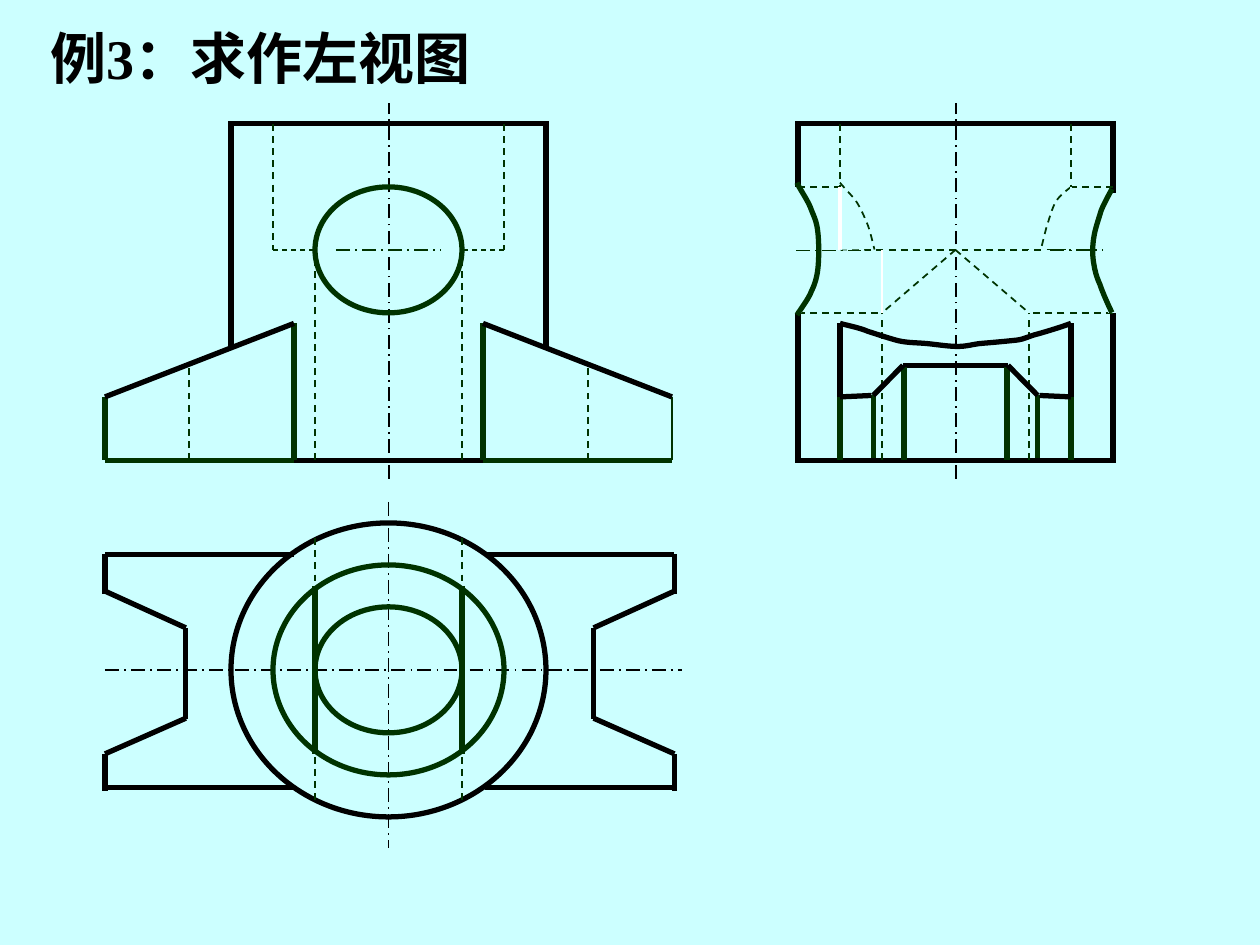
from dataclasses import dataclass
from typing import Optional

from lxml.etree import SubElement
from pptx import Presentation
from pptx.dml.color import RGBColor
from pptx.enum.dml import MSO_LINE
from pptx.enum.shapes import MSO_CONNECTOR, MSO_SHAPE
from pptx.enum.text import MSO_ANCHOR, MSO_AUTO_SIZE, PP_ALIGN
from pptx.oxml.ns import qn
from pptx.util import Pt

BLACK, GREEN, PAPER, WHITE = "000000", "003300", "CCFFFF", "FFFFFF"


@dataclass(frozen=True)
class Stroke:
    color: str
    width: float
    dash: Optional[MSO_LINE] = None


OUTLINE = Stroke(BLACK, 3)
EDGE = Stroke(GREEN, 3)
THIN_EDGE = Stroke(GREEN, 1.5)
HIDDEN = Stroke(GREEN, 1, MSO_LINE.DASH)
FINE_HIDDEN = Stroke(GREEN, 0.75, MSO_LINE.DASH)
AXIS = Stroke(BLACK, 1, MSO_LINE.LONG_DASH_DOT)
BORE_AXIS = Stroke(GREEN, 1, MSO_LINE.LONG_DASH_DOT)
ERASER = Stroke(PAPER, 4.5)
MID_ERASER = Stroke(PAPER, 1.5)
FINE_ERASER = Stroke(PAPER, 0.75)

# Shared levels: body top, bore top / axis / bottom, rib top, rib tip, base
TOP, BORE_TOP, BORE, BORE_END = 70.8, 106.8, 142.8, 178.8
RIB_TOP, RIB_TIP, BASE = 184.8, 226.8, 263
FRONT_X, SIDE_X, PLAN_Y = 222, 546, 382.8


def rgb(color: str) -> RGBColor:
    return RGBColor.from_string(color)


def set_stroke(sp, stroke: Stroke) -> None:
    sp.line.color.rgb = rgb(stroke.color)
    sp.line.width = Pt(stroke.width)
    if stroke.dash is not None:
        sp.line.dash_style = stroke.dash


def line(s, stroke: Stroke, x1: float, y1: float, x2: float, y2: float) -> None:
    c = s.shapes.add_connector(MSO_CONNECTOR.STRAIGHT, Pt(x1), Pt(y1), Pt(x2), Pt(y2))
    set_stroke(c, stroke)
    SubElement(c._element.spPr, qn("a:effectLst"))


def mirrored(s, stroke: Stroke, axis: float, x1: float, y1: float, x2: float, y2: float) -> None:
    """Draw a line and its reflection about a vertical axis."""
    line(s, stroke, x1, y1, x2, y2)
    line(s, stroke, 2 * axis - x1, y1, 2 * axis - x2, y2)


def preset(s, kind: MSO_SHAPE, stroke: Stroke, cx: float, cy: float, w: float, h: float) -> None:
    """Draw an unfilled, sharp-cornered preset shape around a centre."""
    sp = s.shapes.add_shape(kind, Pt(cx - w / 2), Pt(cy - h / 2), Pt(w), Pt(h))
    sp.shadow.inherit = False
    sp.fill.background()
    set_stroke(sp, stroke)
    SubElement(sp._element.spPr.find(qn("a:ln")), qn("a:miter"), lim="800000")


def curve(s, stroke: Stroke, points: list[tuple[float, float]]) -> None:
    """Draw a Bezier chain: a start point, then three points per piece."""
    pts = [(Pt(x), Pt(y)) for x, y in points]
    fb = s.shapes.build_freeform(*pts[0])
    fb.add_line_segments(pts[1:], close=False)
    sp = fb.convert_to_shape()
    sp.shadow.inherit = False
    sp.fill.background()
    set_stroke(sp, stroke)
    segments = list(sp._element.iter(qn("a:lnTo")))
    for i in range(0, len(segments), 3):
        bezier = SubElement(segments[i].getparent(), qn("a:cubicBezTo"))
        for segment in segments[i:i + 3]:
            bezier.append(segment[0])
            segment.getparent().remove(segment)


def plan_wing(s, inner: float, notch: float, tip: float) -> None:
    line(s, OUTLINE, inner, 316.8, tip, 316.8)
    line(s, OUTLINE, inner, 450, tip, 450)
    line(s, OUTLINE, notch, 358.8, notch, 411)
    line(s, OUTLINE, notch, 358.8, tip, 337.8)
    line(s, OUTLINE, tip, 316.8, tip, 339.6)
    line(s, OUTLINE, notch, 410.4, tip, 430.8)
    line(s, OUTLINE, tip, 430.8, tip, 452)


def front_wing(s, inner: float, wall: float, notch: float, tip: float, tip_stroke: Stroke) -> None:
    line(s, tip_stroke, tip, RIB_TIP, tip, BASE)
    line(s, EDGE, inner, BASE, inner, RIB_TOP)
    line(s, ERASER, wall, 199.4, wall, BASE)
    line(s, OUTLINE, inner, RIB_TOP, tip, RIB_TIP)
    line(s, EDGE, inner, BASE, tip, BASE)
    line(s, HIDDEN, notch, BASE, notch, 208.8)


def draw_front_and_plan(s) -> None:
    line(s, AXIS, 60, PLAN_Y, 390, PLAN_Y)
    line(s, AXIS, FRONT_X, 286.8, FRONT_X, 484.8)
    line(s, AXIS, FRONT_X + 0.3, 273.6, FRONT_X + 0.3, 58.8)
    preset(s, MSO_SHAPE.OVAL, OUTLINE, FRONT_X, PLAN_Y, 180, 168)
    preset(s, MSO_SHAPE.RECTANGLE, OUTLINE, FRONT_X, (TOP + BASE) / 2, 180, BASE - TOP)
    preset(s, MSO_SHAPE.OVAL, EDGE, FRONT_X, PLAN_Y, 132, 120)
    preset(s, MSO_SHAPE.OVAL, EDGE, FRONT_X, PLAN_Y, 84, 72)
    mirrored(s, HIDDEN, FRONT_X, 180, BASE, 180, BORE)
    mirrored(s, HIDDEN, FRONT_X, 156, TOP, 156, BORE)
    mirrored(s, FINE_HIDDEN, FRONT_X, 156, BORE, 180, BORE)
    line(s, BORE_AXIS, 192, BORE, 252, BORE)
    preset(s, MSO_SHAPE.OVAL, EDGE, FRONT_X, BORE, 84, 72)
    mirrored(s, HIDDEN, FRONT_X, 180, 307.5, 180, 457.5)
    mirrored(s, EDGE, FRONT_X, 180, 334.8, 180, 430.8)
    plan_wing(s, 168, 106.2, 60)
    plan_wing(s, 277, 339.2, 385.4)
    front_wing(s, 168, 132.2, 108, 60, EDGE)
    front_wing(s, 276, 311.8, 336, 384, THIN_EDGE)


def draw_side(s) -> None:
    line(s, AXIS, SIDE_X + 0.3, 273.6, SIDE_X + 0.3, 58.8)
    preset(s, MSO_SHAPE.RECTANGLE, OUTLINE, SIDE_X, (TOP + BASE) / 2, 180, BASE - TOP)
    mirrored(s, HIDDEN, SIDE_X, 504, BASE, 504, BORE)
    mirrored(s, HIDDEN, SIDE_X, 480, TOP, 480, BORE)
    line(s, HIDDEN, 480, BORE, 612, BORE)

    # Rib with its notch
    mirrored(s, EDGE, SIDE_X, 480, RIB_TIP, 480, BASE)
    line(s, OUTLINE, 516, 208.8, 576, 208.8)
    mirrored(s, EDGE, SIDE_X, 499.2, 226, 499.2, 261.6)
    mirrored(s, OUTLINE, SIDE_X, 480, RIB_TIP, 498, 226)
    mirrored(s, EDGE, SIDE_X, 516.6, 209.5, 516.6, BASE)
    mirrored(s, OUTLINE, SIDE_X, 516, 208.8, 499, 226)
    mirrored(s, OUTLINE, SIDE_X, 480, RIB_TIP, 480, RIB_TOP)
    curve(s, OUTLINE, [
        (480, 184.8), (482.4, 185.6), (491, 187.2), (496, 189.4),
        (501, 191), (507, 193), (512, 194.4), (517, 195.8), (522, 195.8), (527.8, 196.2),
        (533.5, 196.6), (541.4, 198), (547.2, 198), (553, 198), (556, 196.6), (561.6, 196.2),
        (566.6, 195.8), (575.3, 195), (581, 194.4), (586, 193.7), (587.5, 192.2), (593.3, 190.8),
        (598.3, 189.4), (607.7, 186.5), (612, 184.8)])

    # Cross bore and its intersection curves
    mirrored(s, HIDDEN, SIDE_X, 456, BORE_TOP, 480, BORE_TOP)
    mirrored(s, HIDDEN, SIDE_X, 456, BORE_END, 504, BORE_END)
    mirrored(s, HIDDEN, SIDE_X, SIDE_X, BORE, 504, BORE_END)
    line(s, ERASER, 456, BORE_TOP, 456, BORE_END)
    line(s, ERASER, 635.6, 110.2, 635.6, BORE_END)
    curve(s, HIDDEN, [
        (612, 106.8), (610.6, 108), (605.5, 111.6), (603.4, 115.2),
        (601.2, 118.8), (599.8, 124.6), (598.3, 128.9), (596.9, 133.9), (595.4, 140.4), (594.7, 143)])
    line(s, Stroke(WHITE, 2.25), 480, BORE_TOP, 480, BORE)
    line(s, FINE_ERASER, 480, BORE, 494, 143.2)
    curve(s, HIDDEN, [
        (480, 104.4), (481.7, 106.6), (486, 110.9), (488.9, 114.5),
        (491.8, 118.8), (493.9, 123.8), (496, 128.9), (497.5, 133.2), (499, 139.7), (499.7, 142.6)])
    line(s, MID_ERASER, 612, BORE_TOP, 612, BORE)
    line(s, FINE_ERASER, 597, 143.2, 612, 143.2)
    line(s, BORE_AXIS, 600, BORE, 630, BORE)
    line(s, MID_ERASER, 588, BORE, 588, BORE_END)
    line(s, BORE_AXIS, 455, 143.2, 492, 143.2)
    curve(s, EDGE, [
        (455.4, 104.4), (456.5, 107.3), (462.2, 115.2), (463.7, 120.2),
        (465.8, 125.3), (466.6, 126.7), (467.3, 132.5), (468, 138.2), (468, 148.3), (467.3, 154),
        (466.6, 159), (465.8, 162), (463.7, 166.3), (462.2, 170.6), (457.2, 177), (455.4, 180)])
    line(s, Stroke(WHITE, 1.5), 504, BORE, 504, BORE_END)
    curve(s, EDGE, [
        (635.4, 108), (634.3, 110.2), (631.4, 115.2), (629.3, 120.2),
        (627.8, 125.3), (625.7, 131), (625, 136), (624.2, 141), (624.2, 146), (625, 150.5),
        (625.7, 154.8), (626.4, 157.7), (628.6, 162.7), (630, 167), (633.6, 175), (635.4, 178.6)])


def set_title(s, text: str) -> None:
    sp = s.shapes.title
    sp.left, sp.top, sp.width, sp.height = Pt(21.4), Pt(9.4), Pt(290), Pt(46)
    tf = sp.text_frame
    tf.text = text
    tf.word_wrap = True
    tf.auto_size = MSO_AUTO_SIZE.NONE
    tf.vertical_anchor = MSO_ANCHOR.MIDDLE
    p = tf.paragraphs[0]
    p.alignment = PP_ALIGN.LEFT
    p.font.name, p.font.size, p.font.bold = "Times New Roman", Pt(32), True
    p.font.color.rgb = rgb(BLACK)


def main() -> None:
    prs = Presentation()
    prs.slide_width, prs.slide_height = Pt(720), Pt(540)
    s = prs.slides.add_slide(prs.slide_layouts.get_by_name("Title Only"))
    s.background.fill.solid()
    s.background.fill.fore_color.rgb = rgb(PAPER)
    set_title(s, "例3：求作左视图")
    draw_front_and_plan(s)
    draw_side(s)
    prs.save("out.pptx")


if __name__ == "__main__":
    main()
